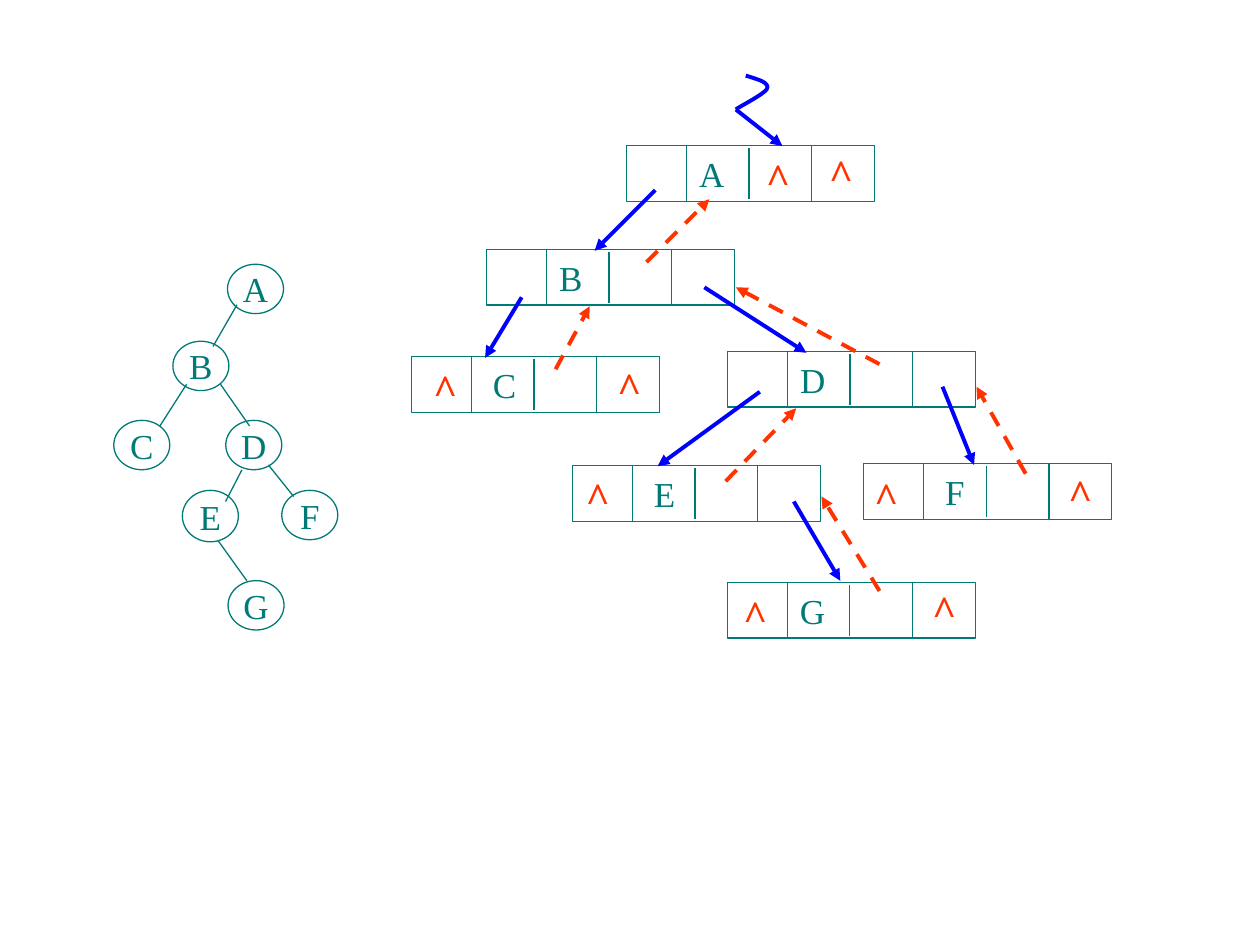
import dataclasses

import lxml.etree
import pptx
import pptx.dml.color
import pptx.enum.dml
import pptx.enum.shapes
import pptx.enum.text
import pptx.oxml.ns
import pptx.util

Pt = pptx.util.Pt
Shape = pptx.enum.shapes.MSO_SHAPE
Align = pptx.enum.text.PP_ALIGN


@dataclasses.dataclass(frozen=True)
class Theme:
    font: str = "Times New Roman"
    teal: str = "007A77"
    blue: str = "0000FF"
    red: str = "FF3300"
    label: int = 20
    null: int = 24
    thin: float = 0.75
    thick: float = 2.25


THEME = Theme()

# Binary tree: letter, left, top, height
NODE_W = 32
NODES = [
    ("A", 130, 151, 28.2), ("B", 98.8, 195, 28.2), ("C", 65, 240.2, 28.2),
    ("D", 129, 240.2, 28.2), ("E", 104.2, 280.2, 29.4),
    ("F", 161, 280.2, 28.2), ("G", 130.3, 331.8, 28.2),
]
EDGES = [
    (135.4, 174.2, 121.7, 198), (106.6, 219.6, 91.4, 243.4),
    (126, 219.6, 142.6, 243.4), (138.2, 268.6, 128.9, 286.6),
    (153.4, 265.7, 167.8, 283.7), (124.6, 308.9, 141.1, 331.9),
]

# Linked records: letter, left, top, indent of the letter
REC_W, REC_H = 141.8, 31.8
SPLITS = [(34.3, 0), (70, 1.3), (105.8, 0)]
RECORDS = [
    ("A", 358, 83.2, 41.5), ("B", 278, 142.6, 41.5), ("C", 235.2, 203.8, 46.5),
    ("D", 415.8, 200.9, 41.5), ("E", 327.2, 266.1, 46.5),
    ("F", 493.6, 265, 46.5), ("G", 415.6, 332.9, 41.5),
]
NULL_W, NULL_H = 28, 36
NULLS = [
    (430.6, 82.8), (466.6, 80.6), (240.5, 203.8), (345.6, 202.3), (327.6, 265),
    (492.5, 265), (603.4, 263.5), (417.6, 332.6), (525.6, 329.8),
]

# Pointers: child links, parent links, root link
CHILD = [
    (374.4, 108.7, 339.8, 143.3), (298.1, 169.9, 277.2, 204.5),
    (434.2, 223.9, 375.8, 266.4), (402.5, 164.2, 460.8, 201.6),
    (538.6, 221, 556.6, 265.7), (453.6, 286.6, 480.2, 331.9),
]
PARENT = [
    (369.4, 149.8, 405.4, 113.8), (317.5, 211, 337, 175),
    (502.6, 208.1, 420.5, 164.2), (414.7, 275, 455, 233.3),
    (502.6, 337.7, 469.4, 283.7), (586.1, 270.7, 558, 221),
]
ROOT = (420.5, 62.6, 447.1, 83.5)
CURVES = [
    [(426.2, 43.2), (432.7, 45.4), (439.2, 46.8), (438.5, 50.4)],
    [(438.5, 50.4), (437.8, 53.3), (423.4, 60.5), (420.5, 62.6)],
]


def rgb(code):
    return pptx.dml.color.RGBColor.from_string(code)


def stroke(item, color, width):
    item.line.color.rgb = rgb(color)
    item.line.width = Pt(width)


def write(shape, text, size, color, align, inset=0, bold=False, wrap=False):
    """Put one run of text in a shape, centred vertically."""
    frame = shape.text_frame
    frame.word_wrap = wrap
    frame.vertical_anchor = pptx.enum.text.MSO_ANCHOR.MIDDLE
    frame.margin_left = Pt(inset)
    frame.margin_right = frame.margin_top = frame.margin_bottom = 0
    para = frame.paragraphs[0]
    para.alignment = align
    run = para.add_run()
    run.text = text
    run.font.name = THEME.font
    run.font.size = Pt(size)
    run.font.bold = bold
    run.font.color.rgb = rgb(color)


def outline(slide, kind, left, top, width, height):
    shape = slide.shapes.add_shape(kind, Pt(left), Pt(top), Pt(width), Pt(height))
    shape.shadow.inherit = False
    shape.fill.background()
    stroke(shape, THEME.teal, THEME.thin)
    return shape


def line(slide, ends, color=THEME.teal, width=THEME.thin):
    link = slide.shapes.add_connector(
        pptx.enum.shapes.MSO_CONNECTOR.STRAIGHT, *[Pt(v) for v in ends])
    stroke(link, color, width)
    lxml.etree.SubElement(link._element.spPr, pptx.oxml.ns.qn("a:effectLst"))
    return link


def arrow(slide, ends, color, dashed=False):
    link = line(slide, ends, color, THEME.thick)
    if dashed:
        link.line.dash_style = pptx.enum.dml.MSO_LINE.DASH
    tail = lxml.etree.SubElement(
        link.line._get_or_add_ln(), pptx.oxml.ns.qn("a:tailEnd"))
    tail.set("type", "triangle")


def node(slide, text, left, top, height):
    shape = outline(slide, Shape.OVAL, left, top, NODE_W, height)
    write(shape, text, THEME.label, THEME.teal, Align.CENTER)


def record(slide, text, left, top, inset):
    shape = outline(slide, Shape.RECTANGLE, left, top, REC_W, REC_H)
    write(shape, text, THEME.label, THEME.teal, Align.LEFT, inset, wrap=True)
    for dx, gap in SPLITS:
        line(slide, (left + dx, top + gap, left + dx, top + REC_H - gap))


def null(slide, left, top):
    box = slide.shapes.add_textbox(Pt(left), Pt(top), Pt(NULL_W), Pt(NULL_H))
    write(box, "^", THEME.null, THEME.red, Align.CENTER, bold=True)


def bezier(curve, t):
    """Return the point at t on a cubic curve, in points."""
    s = 1 - t
    parts = (s ** 3, 3 * s * s * t, 3 * s * t * t, t ** 3)
    return [sum(k * p[axis] for k, p in zip(parts, curve)) for axis in (0, 1)]


def squiggle(slide, curves, steps=12):
    dots = [[Pt(v) for v in bezier(c, i / steps)]
            for c in curves for i in range(1, steps + 1)]
    start = [Pt(v) for v in curves[0][0]]
    build = slide.shapes.build_freeform(*start)
    build.add_line_segments(dots, close=False)
    shape = build.convert_to_shape()
    shape.shadow.inherit = False
    shape.fill.background()
    stroke(shape, THEME.blue, THEME.thick)


def main():
    deck = pptx.Presentation()
    deck.slide_width, deck.slide_height = Pt(720), Pt(540)
    slide = deck.slides.add_slide(deck.slide_layouts[6])

    # Binary tree
    for item in NODES:
        node(slide, *item)
    for ends in EDGES:
        line(slide, ends)

    # Linked records
    for item in RECORDS:
        record(slide, *item)

    # Pointers
    for ends in CHILD:
        arrow(slide, ends, THEME.blue)
    for ends in PARENT:
        arrow(slide, ends, THEME.red, dashed=True)
    squiggle(slide, CURVES)
    arrow(slide, ROOT, THEME.blue)

    # Null marks
    for spot in NULLS:
        null(slide, *spot)

    deck.save("out.pptx")


if __name__ == "__main__":
    main()
